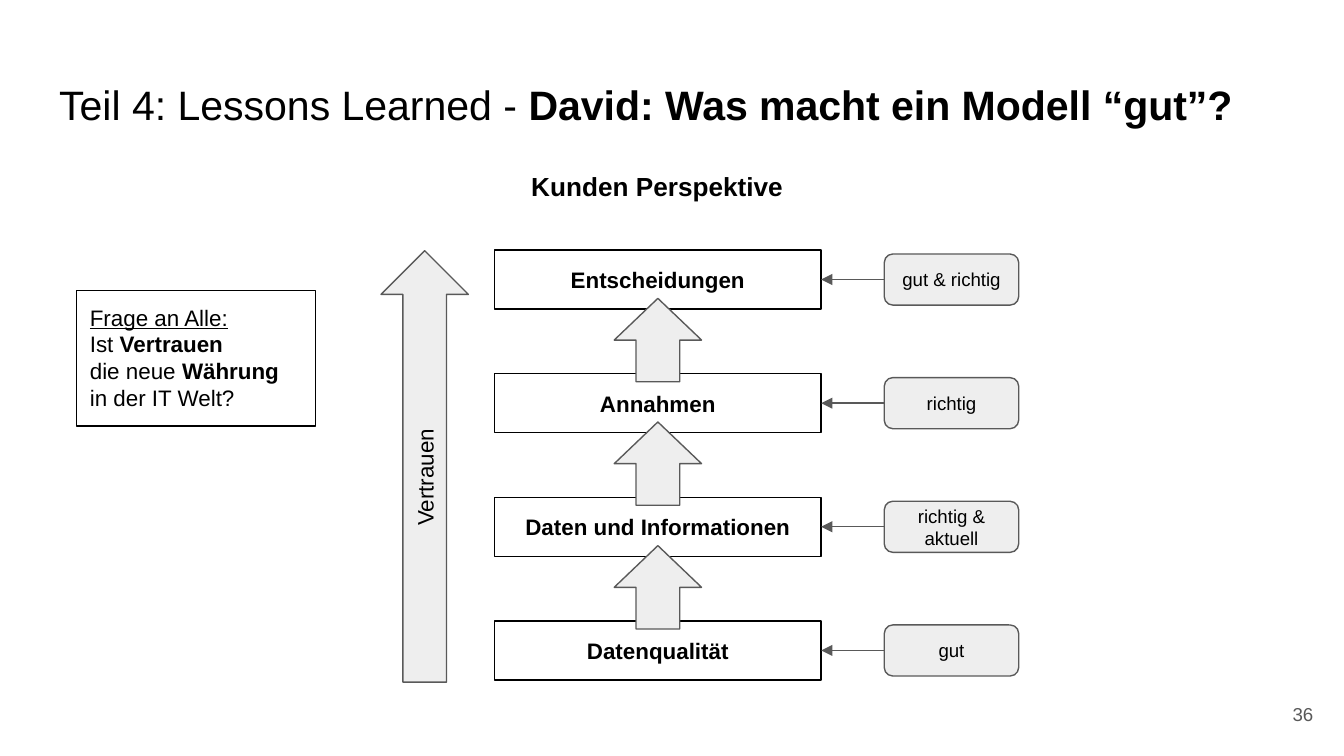
"""Build the slide on what makes a model good from the customer's perspective."""
from lxml.etree import SubElement
from pptx import Presentation
from pptx.dml.color import RGBColor
from pptx.enum.shapes import MSO_CONNECTOR, MSO_SHAPE
from pptx.enum.text import MSO_ANCHOR, MSO_AUTO_SIZE, PP_ALIGN
from pptx.oxml.ns import qn
from pptx.util import Inches, Pt

BLACK = RGBColor(0x00, 0x00, 0x00)
WHITE = RGBColor(0xFF, 0xFF, 0xFF)
LIGHT = RGBColor(0xEE, 0xEE, 0xEE)
GREY = RGBColor(0x59, 0x59, 0x59)

PLAIN, BOLD, UNDERLINED = {}, {"bold": True}, {"underline": True}

TITLE = [[("Teil 4: Lessons Learned - ", PLAIN),
          ("David: Was macht ein Modell “gut”?", BOLD)]]
HEADING = [[("Kunden Perspektive", BOLD)]]
TRUST = [[("Vertrauen", PLAIN)]]
QUESTION = [
    [("Frage an Alle:", UNDERLINED)],
    [("Ist ", PLAIN), ("Vertrauen", BOLD)],
    [("die neue ", PLAIN), ("Währung ", BOLD), ("in der IT Welt?", PLAIN)],
]
PAGE_NUMBER = [[("36", PLAIN)]]
LEVELS = [
    ("Entscheidungen", "gut & richtig"),
    ("Annahmen", "richtig"),
    ("Daten und Informationen", "richtig & aktuell"),
    ("Datenqualität", "gut"),
]

SLIDE_WIDTH = 10
SLIDE_HEIGHT = SLIDE_WIDTH * 9 / 16
LEVEL_LEFT, LEVEL_TOP, LEVEL_WIDTH, LEVEL_HEIGHT = 3.68, 1.86, 2.43, 0.44
LEVEL_STEP = 0.92
LABEL_LEFT, LABEL_WIDTH, LABEL_HEIGHT = 6.58, 1, 0.38
ARROW_LENGTH, ARROW_BREADTH, ARROW_OFFSET = 0.62, 0.65, 0.36


def write(shape, paragraphs, size, align=PP_ALIGN.LEFT, anchor=MSO_ANCHOR.TOP,
          color=BLACK, fit=MSO_AUTO_SIZE.NONE):
    frame = shape.text_frame
    settings = {"word_wrap": True, "auto_size": fit, "vertical_anchor": anchor}
    for side in ("left", "top", "right", "bottom"):
        settings[f"margin_{side}"] = Inches(0.1)
    for name, value in settings.items():
        setattr(frame, name, value)
    for index, spans in enumerate(paragraphs):
        para = frame.paragraphs[0] if index == 0 else frame.add_paragraph()
        para.alignment = align
        for text, style in spans:
            span = para.add_run()
            span.text = text
            span.font.color.rgb = color
            look = {"name": "Arial", "size": Pt(size), "bold": False, **style}
            for name, value in look.items():
                setattr(span.font, name, value)


def add_text(page, area, paragraphs, size, **options):
    box = page.shapes.add_textbox(*map(Inches, area))
    write(box, paragraphs, size, **options)


def add_box(page, kind, area, line, fill=None):
    box = page.shapes.add_shape(kind, *map(Inches, area))
    box.shadow.inherit = False
    box.line.color.rgb = line
    box.line.width = Pt(0.75)
    if fill is None:
        box.fill.background()
    else:
        box.fill.solid()
        box.fill.fore_color.rgb = fill
    return box


def add_up_arrow(page, center_x, center_y, length):
    area = (center_x - length / 2, center_y - ARROW_BREADTH / 2, length, ARROW_BREADTH)
    arrow = add_box(page, MSO_SHAPE.RIGHT_ARROW, area, GREY, LIGHT)
    arrow.rotation = 270
    return arrow


def add_pointer(page, start, end, y):
    pointer = page.shapes.add_connector(
        MSO_CONNECTOR.STRAIGHT, Inches(start), Inches(y), Inches(end), Inches(y))
    pointer.line.color.rgb = GREY
    pointer.line.width = Pt(0.75)
    SubElement(pointer.line._get_or_add_ln(), qn("a:tailEnd"), type="triangle")
    SubElement(pointer._element.spPr, qn("a:effectLst"))


def add_levels(page):
    centered = {"align": PP_ALIGN.CENTER, "anchor": MSO_ANCHOR.MIDDLE}
    tops = [LEVEL_TOP + LEVEL_STEP * row for row in range(len(LEVELS))]
    for top, (level, label) in zip(tops, LEVELS):
        middle = top + LEVEL_HEIGHT / 2
        area = (LEVEL_LEFT, top, LEVEL_WIDTH, LEVEL_HEIGHT)
        box = add_box(page, MSO_SHAPE.RECTANGLE, area, BLACK)
        write(box, [[(level, BOLD)]], 12, **centered)
        area = (LABEL_LEFT, middle - LABEL_HEIGHT / 2, LABEL_WIDTH, LABEL_HEIGHT)
        tag = add_box(page, MSO_SHAPE.ROUNDED_RECTANGLE, area, GREY, LIGHT)
        write(tag, [[(label, PLAIN)]], 10, **centered)
        add_pointer(page, LABEL_LEFT, LEVEL_LEFT + LEVEL_WIDTH, middle)
    for top in tops[:-1]:
        add_up_arrow(page, LEVEL_LEFT + LEVEL_WIDTH / 2,
                     top + ARROW_OFFSET + ARROW_LENGTH / 2, ARROW_LENGTH)


def main():
    deck = Presentation()
    deck.slide_width, deck.slide_height = Inches(SLIDE_WIDTH), Inches(SLIDE_HEIGHT)
    page = deck.slides.add_slide(deck.slide_layouts[5])

    title = page.shapes.title
    places = {"left": 0.34, "top": 0.49, "width": 9.32, "height": 0.63}
    for name, value in places.items():
        setattr(title, name, Inches(value))
    write(title, TITLE, 22)

    add_text(page, (3.4, 1.17, 2.98, 0.44), HEADING, 14,
             align=PP_ALIGN.CENTER, fit=MSO_AUTO_SIZE.SHAPE_TO_FIT_TEXT)
    trust = add_up_arrow(page, 3.16, 3.47, 3.21)
    write(trust, TRUST, 12, align=PP_ALIGN.CENTER, anchor=MSO_ANCHOR.MIDDLE)
    add_levels(page)
    question = add_box(page, MSO_SHAPE.RECTANGLE, (0.57, 2.16, 1.78, 1.01), BLACK, WHITE)
    write(question, QUESTION, 12, fit=MSO_AUTO_SIZE.SHAPE_TO_FIT_TEXT)
    add_text(page, (9.27, 5.1, 0.6, 0.43), PAGE_NUMBER, 10,
             align=PP_ALIGN.RIGHT, anchor=MSO_ANCHOR.MIDDLE, color=GREY)
    deck.save("out.pptx")


if __name__ == "__main__":
    main()
